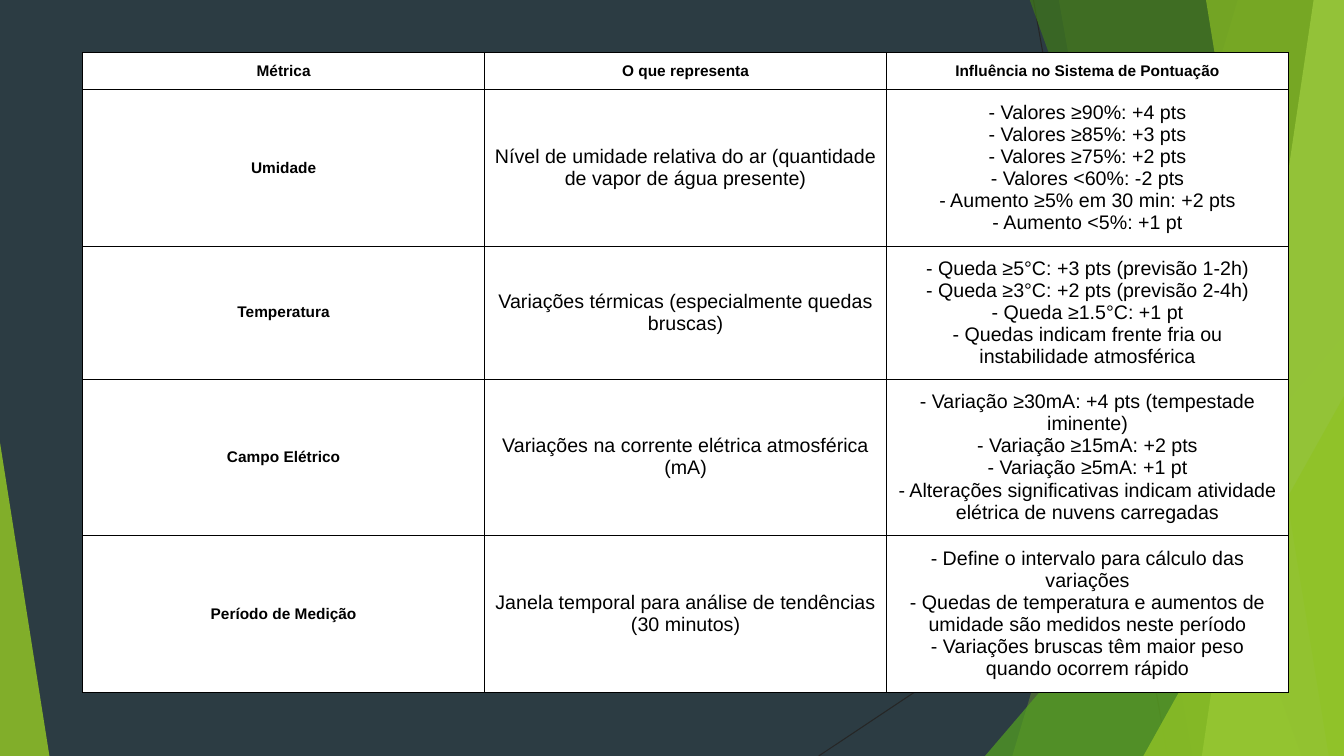
from dataclasses import dataclass

from lxml.etree import SubElement
from pptx import Presentation
from pptx.dml.color import RGBColor
from pptx.enum.shapes import MSO_CONNECTOR, MSO_SHAPE
from pptx.enum.text import MSO_ANCHOR, PP_ALIGN
from pptx.oxml.ns import qn
from pptx.util import Inches, Pt


@dataclass(frozen=True)
class Theme:
    font: str = "Arial"
    background: str = "2C3C43"
    ink: str = "000000"
    paper: str = "FFFFFF"
    thin_line: str = "262626"
    green: str = "90C226"
    mid_green: str = "54A021"
    dark_green: str = "3F7819"
    pale_green: str = "C0E474"
    label_size: int = 11
    body_size: int = 14
    line_width: float = 0.75


THEME = Theme()
PAGE_WIDTH, PAGE_HEIGHT = 13.33, 7.5
TABLE_LEFT, TABLE_TOP, TABLE_WIDTH = 0.82, 0.52, 11.96
ROW_HEIGHTS = [0.37, 1.55, 1.32, 1.55, 1.56]
CELL_MARGIN = 0.1

ROWS = [
    ("Métrica", "O que representa", ["Influência no Sistema de Pontuação"]),
    ("Umidade",
     "Nível de umidade relativa do ar (quantidade de vapor de água presente)",
     ["- Valores ≥90%: +4 pts",
      "- Valores ≥85%: +3 pts",
      "- Valores ≥75%: +2 pts",
      "- Valores <60%: -2 pts",
      "- Aumento ≥5% em 30 min: +2 pts",
      "- Aumento <5%: +1 pt"]),
    ("Temperatura",
     "Variações térmicas (especialmente quedas bruscas)",
     ["- Queda ≥5°C: +3 pts (previsão 1-2h)",
      "- Queda ≥3°C: +2 pts (previsão 2-4h)",
      "- Queda ≥1.5°C: +1 pt",
      "- Quedas indicam frente fria ou instabilidade atmosférica"]),
    ("Campo Elétrico",
     "Variações na corrente elétrica atmosférica (mA)",
     ["- Variação ≥30mA: +4 pts (tempestade iminente)",
      "- Variação ≥15mA: +2 pts",
      "- Variação ≥5mA: +1 pt",
      "- Alterações significativas indicam atividade elétrica de nuvens carregadas"]),
    ("Período de Medição",
     "Janela temporal para análise de tendências (30 minutos)",
     ["- Define o intervalo para cálculo das variações",
      "- Quedas de temperatura e aumentos de umidade são medidos neste período",
      "- Variações bruscas têm maior peso quando ocorrem rápido"]),
]


def color(value):
    return RGBColor.from_string(value)


def paint(shape, fill, opacity):
    shape.shadow.inherit = False
    shape.line.fill.background()
    shape.fill.solid()
    shape.fill.fore_color.rgb = color(fill)
    solid = shape.element.spPr.find(qn("a:solidFill"))
    SubElement(solid[0], qn("a:alpha"), val=str(opacity * 1000))


def add_thin_line(page, start, end):
    points = [Inches(value) for value in (*start, *end)]
    line = page.shapes.add_connector(MSO_CONNECTOR.STRAIGHT, *points)
    line.line.color.rgb = color(THEME.thin_line)
    line.line.width = Pt(THEME.line_width)
    SubElement(line.element.spPr, qn("a:effectLst"))


def add_edge_panel(page, top_left, bottom_left, fill, opacity):
    top = -0.01
    corners = [(top_left, top), (PAGE_WIDTH, top),
               (PAGE_WIDTH, PAGE_HEIGHT), (bottom_left, PAGE_HEIGHT)]
    points = [(Inches(x), Inches(y)) for x, y in corners]
    builder = page.shapes.build_freeform(*points[0])
    builder.add_line_segments(points[1:], close=True)
    paint(builder.convert_to_shape(), fill, opacity)


def add_corner_triangle(page, left, top, width, apex, fill, opacity):
    triangle = page.shapes.add_shape(
        MSO_SHAPE.ISOSCELES_TRIANGLE, Inches(left), Inches(top),
        Inches(width), Inches(PAGE_HEIGHT - top))
    triangle.adjustments[0] = apex
    paint(triangle, fill, opacity)


def add_decoration(page):
    add_thin_line(page, (10.25, 0), (11.58, PAGE_HEIGHT))
    add_thin_line(page, (PAGE_WIDTH, 4.03), (8.12, PAGE_HEIGHT))
    add_edge_panel(page, 12.28, 10.04, THEME.green, 30)
    add_edge_panel(page, 10.5, 11.83, THEME.green, 20)
    add_corner_triangle(page, 9.77, 3.33, 3.56, 1, THEME.mid_green, 72)
    add_edge_panel(page, 10.21, 12.91, THEME.dark_green, 70)
    add_edge_panel(page, 13.03, 11.92, THEME.pale_green, 70)
    add_edge_panel(page, 11.96, 13.18, THEME.green, 65)
    add_corner_triangle(page, 11.34, 3.93, 1.99, 1, THEME.green, 80)
    add_corner_triangle(page, 0, 4.39, 0.49, 0, THEME.green, 85)


def write_text(frame, lines, *, size, bold):
    for index, line in enumerate(lines):
        para = frame.paragraphs[0] if index == 0 else frame.add_paragraph()
        para.alignment = PP_ALIGN.CENTER
        span = para.add_run()
        span.text = line
        span.font.name = THEME.font
        span.font.size = Pt(size)
        span.font.bold = bold
        span.font.color.rgb = color(THEME.ink)


def add_borders(cell):
    properties = cell._tc.get_or_add_tcPr()
    for side in ("lnL", "lnR", "lnT", "lnB"):
        border = SubElement(properties, qn(f"a:{side}"), w=str(Pt(THEME.line_width)))
        solid = SubElement(border, qn("a:solidFill"))
        SubElement(solid, qn("a:srgbClr"), val=THEME.ink)


def fill_cell(cell, lines, is_label):
    add_borders(cell)
    cell.fill.solid()
    cell.fill.fore_color.rgb = color(THEME.paper)
    cell.vertical_anchor = MSO_ANCHOR.MIDDLE
    cell.margin_left = cell.margin_right = Inches(CELL_MARGIN)
    cell.margin_top = cell.margin_bottom = Inches(CELL_MARGIN)
    size = THEME.label_size if is_label else THEME.body_size
    write_text(cell.text_frame, lines, size=size, bold=is_label)


def add_metrics_table(page):
    column_count = len(ROWS[0])
    table = page.shapes.add_table(
        len(ROWS), column_count, Inches(TABLE_LEFT), Inches(TABLE_TOP),
        Inches(TABLE_WIDTH), Inches(sum(ROW_HEIGHTS))).table
    table.first_row = False
    table.horz_banding = False
    for column in table.columns:
        column.width = Inches(TABLE_WIDTH / column_count)
    for row, height in zip(table.rows, ROW_HEIGHTS):
        row.height = Inches(height)
    for row_index, (metric, meaning, influence) in enumerate(ROWS):
        for column_index, lines in enumerate(([metric], [meaning], influence)):
            is_label = row_index == 0 or column_index == 0
            fill_cell(table.cell(row_index, column_index), lines, is_label)


def main():
    deck = Presentation()
    deck.slide_width = Inches(PAGE_WIDTH)
    deck.slide_height = Inches(PAGE_HEIGHT)
    page = deck.slides.add_slide(deck.slide_layouts.get_by_name("Blank"))
    page.background.fill.solid()
    page.background.fill.fore_color.rgb = color(THEME.background)
    add_decoration(page)
    add_metrics_table(page)
    deck.save("out.pptx")


if __name__ == "__main__":
    main()
